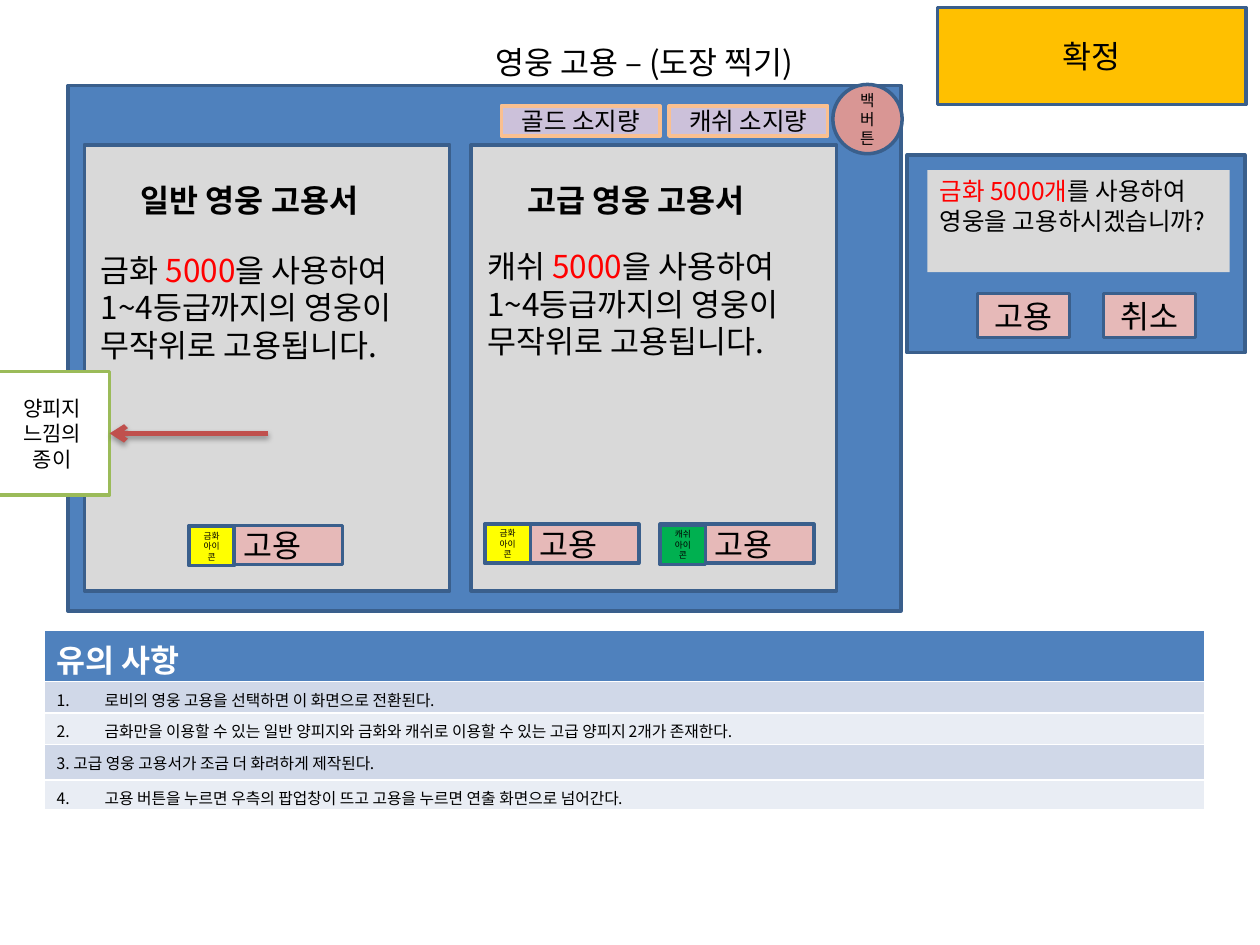
from lxml import etree
from pptx import Presentation
from pptx.dml.color import RGBColor
from pptx.enum.shapes import MSO_CONNECTOR, MSO_SHAPE
from pptx.enum.text import MSO_ANCHOR, MSO_AUTO_SIZE, PP_ALIGN
from pptx.oxml.ns import qn
from pptx.util import Inches, Pt

FONT = "Noto Sans CJK KR"
COLORS = {
    "black": "000000", "white": "FFFFFF", "red": "FF0000", "blue": "4F81BD",
    "edge": "3A5F8C", "paper": "D9D9D9", "pink": "E6B9B8", "rose": "D99694",
    "lilac": "CCC1DA", "peach": "FAC090", "green": "9BBB59", "arrow": "C0504D",
    "amber": "FFC000", "gold": "FFFF00", "cash": "00B050",
    "band1": "D0D8E8", "band2": "E9EDF4",
}

# Places are (column, row, columns, rows) on a grid of 100 x 75 cells.
COLUMNS, ROWS, CELL = 100, 75, 0.1

TITLE = "영웅 고용 – (도장 찍기)"
PANELS = [  # left column, heading, currency, row of the body text
    (6.7, "일반 영웅 고용서", "금화 ", 19.4),
    (37.4, "고급 영웅 고용서", "캐쉬 ", 19.1),
]
HIRE_BUTTONS = [  # button place, icon row, icon label, icon colour
    ((15, 41.7), 41.8, "금화 아이콘", "gold"),
    ((38.5, 41.6), 41.6, "금화 아이콘", "gold"),
    ((52.4, 41.6), 41.7, "캐쉬 아이콘", "cash"),
]
BALANCES = ["골드 소지량", "캐쉬 소지량"]
POPUP_MESSAGE = [
    [("금화 5000개", "red"), ("를 사용하여", "black")],
    "영웅을 고용하시겠습니까?",
]
POPUP_BUTTONS = ["고용", "취소"]
NOTES_HEADING = "유의 사항"
NOTES = [  # automatic number or None, text, row height
    (1, "로비의 영웅 고용을 선택하면 이 화면으로 전환된다.", 2.5),
    (2, "금화만을 이용할 수 있는 일반 양피지와 금화와 캐쉬로 이용할 수 있는 "
        "고급 양피지 2개가 존재한다.", 2.5),
    (None, "3. 고급 영웅 고용서가 조금 더 화려하게 제작된다.", 2.8),
    (4, "고용 버튼을 누르면 우측의 팝업창이 뜨고 고용을 누르면 "
        "연출 화면으로 넘어간다.", 2.4),
]


def grid(*cells):
    return [Inches(cell * CELL) for cell in cells]


def rgb(name):
    return RGBColor.from_string(COLORS[name])


def write(frame, paragraphs, size=18, color="black", bold=False,
          align=PP_ALIGN.LEFT, anchor=MSO_ANCHOR.TOP, wrap=True):
    """Fill a frame; a paragraph is a string or a list of (text, colour)."""
    frame.word_wrap = wrap
    frame.vertical_anchor = anchor
    for index, content in enumerate(paragraphs):
        paragraph = frame.add_paragraph() if index else frame.paragraphs[0]
        paragraph.alignment = align
        runs = [(content, color)] if isinstance(content, str) else content
        for text, run_color in runs:
            run = paragraph.add_run()
            run.text = text
            run.font.size, run.font.bold = Pt(size), bold
            run.font.color.rgb = rgb(run_color)
            run.font.name = FONT
            etree.SubElement(run.font._element, qn("a:ea"), typeface=FONT)


def add_label(place, paragraphs, **text_format):
    label = slide.shapes.add_textbox(*grid(*place))
    write(label.text_frame, paragraphs, **text_format)
    label.text_frame.auto_size = MSO_AUTO_SIZE.SHAPE_TO_FIT_TEXT


def add_block(shapes, place, fill, edge="edge", text=None, size=18,
              kind=MSO_SHAPE.RECTANGLE):
    block = shapes.add_shape(kind, *grid(*place))
    block.shadow.inherit = False
    block.fill.solid()
    block.fill.fore_color.rgb = rgb(fill)
    if edge:
        block.line.color.rgb = rgb(edge)
        block.line.width = Pt(2)
    else:
        block.line.fill.background()
    if text:
        write(block.text_frame, [text], size=size, align=PP_ALIGN.CENTER,
              anchor=MSO_ANCHOR.MIDDLE)
    return block


def add_note_arrow(start, note):
    arrow = slide.shapes.add_connector(MSO_CONNECTOR.STRAIGHT, *grid(*start, *start))
    arrow.end_connect(note, 3)
    arrow.line.color.rgb = rgb("arrow")
    arrow.line.width = Pt(3)
    etree.SubElement(arrow.line._get_or_add_ln(), qn("a:tailEnd"), type="arrow")
    effects = etree.SubElement(arrow._element.spPr, qn("a:effectLst"))
    shadow = etree.SubElement(
        effects, qn("a:outerShdw"), blurRad=str(Pt(3.1)), dist=str(Pt(1.8)),
        dir="5400000", rotWithShape="0")
    shade = etree.SubElement(shadow, qn("a:srgbClr"), val=COLORS["black"])
    etree.SubElement(shade, qn("a:alpha"), val="35000")


def number_paragraph(paragraph, start):
    properties = paragraph._p.get_or_add_pPr()
    indent = Inches(0.38)
    properties.set("marL", str(indent))
    properties.set("indent", str(-indent))
    etree.SubElement(properties, qn("a:buAutoNum"), type="arabicPeriod",
                     startAt=str(start))


def add_notes_table():
    rows = [(None, NOTES_HEADING, 4.1)] + NOTES
    height = sum(row[2] for row in rows)
    table = slide.shapes.add_table(len(rows), 1, *grid(3.5, 50, 92.1, height)).table
    for index, (number, text, row_height) in enumerate(rows):
        table.rows[index].height = grid(row_height)[0]
        cell = table.cell(index, 0)
        cell.margin_bottom = 0
        cell.fill.solid()
        if index == 0:
            cell.fill.fore_color.rgb = rgb("blue")
            write(cell.text_frame, [text], color="white", bold=True)
            continue
        cell.fill.fore_color.rgb = rgb("band1" if index % 2 else "band2")
        if number:
            number_paragraph(cell.text_frame.paragraphs[0], number)
        write(cell.text_frame, [text], size=9)


presentation = Presentation()
presentation.slide_width, presentation.slide_height = grid(COLUMNS, ROWS)
slide = presentation.slides.add_slide(presentation.slide_layouts[5])

title = slide.shapes.title
title.left, title.top, title.width, title.height = grid(38.3, 2.9, 28.6, 4)
write(title.text_frame, [TITLE], wrap=False)
title.text_frame.auto_size = MSO_AUTO_SIZE.SHAPE_TO_FIT_TEXT

# Hiring window with its two parchments
add_block(slide.shapes, (5.4, 6.8, 66.1, 41.7), "blue")
for left, heading, currency, body_row in PANELS:
    add_block(slide.shapes, (left, 11.5, 29, 35.4), "paper")
    add_label((left + 3.5, 13.9, 22, 4), [heading], bold=True)
    add_label((left + 0.3, body_row, 28.5, 10.1), [
        [(currency, "black"), ("5000", "red"), ("을 사용하여", "black")],
        "1~4등급까지의 영웅이",
        "무작위로 고용됩니다.",
    ], wrap=False)

parchment_note = add_block(slide.shapes, (-0.4, 29.5, 9.1, 9.8), "white", "green",
                           "양피지 느낌의 종이", 12)
add_note_arrow((21.3, 34.4), parchment_note)

# Confirmation popup
popup = slide.shapes.add_group_shape().shapes
add_block(popup, (72, 12.3, 26.8, 15.7), "blue")
for index, caption in enumerate(POPUP_BUTTONS):
    add_block(popup, (77.6 + 10 * index, 23.3, 7.3, 3.5), "pink", text=caption)
message = add_block(popup, (73.6, 13.5, 24, 8.1), "paper", edge=None)
write(message.text_frame, POPUP_MESSAGE, size=14)

add_notes_table()

for index, caption in enumerate(BALANCES):
    add_block(slide.shapes, (39.8 + 13.3 * index, 8.4, 12.6, 2.4), "lilac", "peach",
              caption, 14)
add_block(slide.shapes, (66.1, 6.7, 5.5, 5.5), "rose", text="백버튼", size=9,
          kind=MSO_SHAPE.OVAL)
add_block(slide.shapes, (74.4, 0.6, 24.5, 7.7), "amber", text="확정")

for (left, top), icon_row, icon_label, icon_color in HIRE_BUTTONS:
    button = add_block(slide.shapes, (left, top, 12.2, 3.1), "pink", text="고용")
    button.text_frame.margin_left = Inches(0.2)
    add_block(slide.shapes, (left, icon_row, 3.6, 3.1), icon_color,
              text=icon_label, size=5)

presentation.save("out.pptx")
